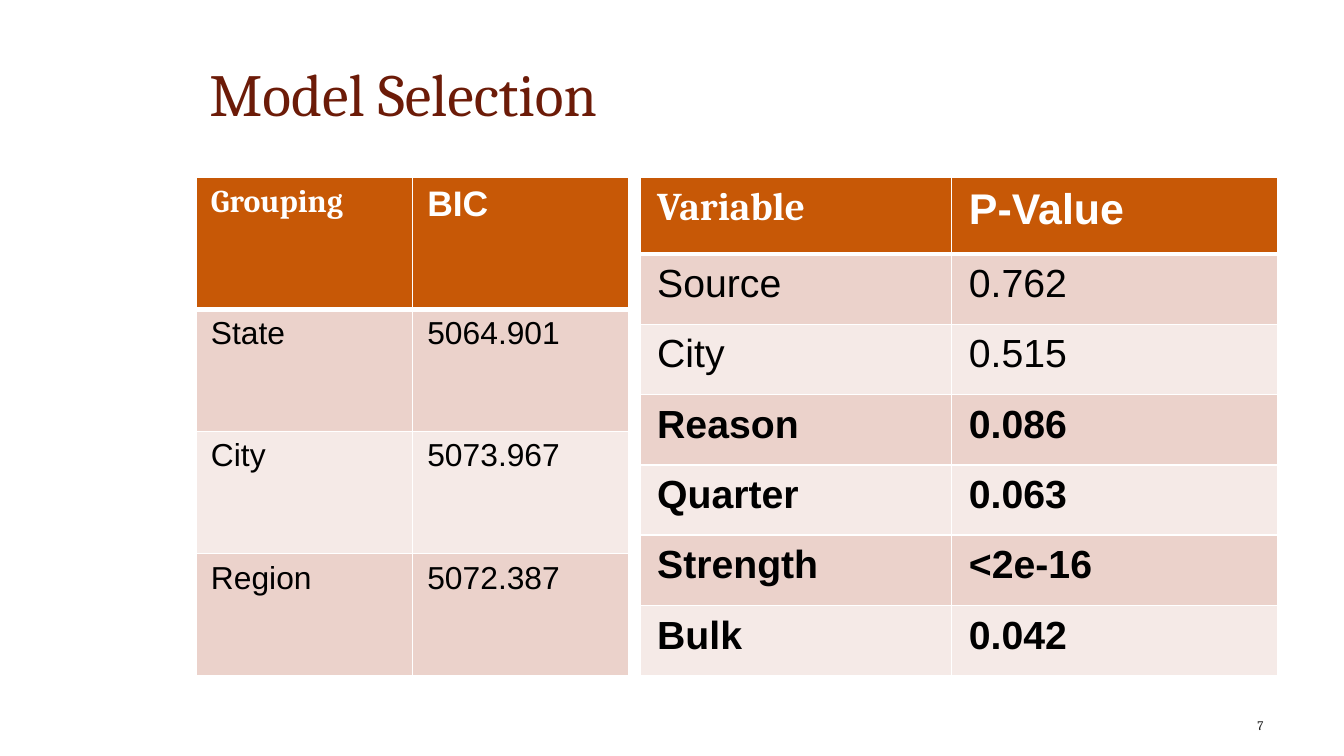
from lxml import etree
from pptx import Presentation, util as u
from pptx.dml.color import RGBColor
from pptx.enum import text
from pptx.oxml.ns import qn

WHITE = RGBColor(0xFF, 0xFF, 0xFF)
BLACK = RGBColor(0, 0, 0)
ORANGE = RGBColor(0xC7, 0x58, 0x06)
BANDS = [RGBColor(0xEB, 0xD2, 0xCB), RGBColor(0xF5, 0xEA, 0xE7)]
MAROON = RGBColor(0x6C, 0x1B, 0x08)
CHARCOAL = RGBColor(0x1C, 0x1C, 0x1C)
SERIF, SANS = "Cambria", "Arial"

SLIDE_WIDTH = u.Inches(10)
SLIDE_HEIGHT = SLIDE_WIDTH * 9 // 16

TITLE = "Model Selection"
PAGE_NUMBER = "7"
TABLE_TOP, TABLE_HEIGHT = 1.32, 3.71
TABLES = [
    {
        "left": 1.46, "columns": [1.61, 1.61], "header_height": 0.98,
        "margins": (0.11, 0.05), "body_size": 17, "header_sizes": [17, 19],
        "header": ["Grouping", "BIC"],
        "rows": [("State", "5064.901"), ("City", "5073.967"), ("Region", "5072.387")],
        "bold_labels": [],
    },
    {
        "left": 4.76, "columns": [2.32, 2.43], "header_height": 0.57,
        "margins": (0.13, 0.06), "body_size": 21, "header_sizes": [21, 23],
        "header": ["Variable", "P-Value"],
        "rows": [("Source", "0.762"), ("City", "0.515"), ("Reason", "0.086"),
                 ("Quarter", "0.063"), ("Strength", "<2e-16"), ("Bulk", "0.042")],
        "bold_labels": ["Reason", "Quarter", "Strength", "Bulk"],
    },
]


def add_run(paragraph, words, size, font, color, bold=False):
    run = paragraph.add_run()
    run.text = words
    run.font.size = u.Pt(size)
    run.font.name = font
    run.font.color.rgb = color
    run.font.bold = bold


def add_text(slide, box, words, size, color):
    shape = slide.shapes.add_textbox(*[u.Inches(length) for length in box])
    shape.text_frame.word_wrap = True
    paragraph = shape.text_frame.paragraphs[0]
    add_run(paragraph, words, size, SERIF, color)
    return shape.text_frame, paragraph


def set_borders(cell, widths):
    properties = cell._tc.get_or_add_tcPr()
    for side, width in widths.items():
        line = etree.SubElement(properties, qn(f"a:ln{side}"), w=str(u.Pt(width)))
        fill = etree.SubElement(line, qn("a:solidFill"))
        etree.SubElement(fill, qn("a:srgbClr"), val=str(WHITE))


def add_grid(slide, content):
    rows = [content["header"], *content["rows"]]
    columns = content["columns"]
    table = slide.shapes.add_table(
        len(rows), len(columns), u.Inches(content["left"]), u.Inches(TABLE_TOP),
        u.Inches(sum(columns)), u.Inches(TABLE_HEIGHT)).table
    for column, width in zip(table.columns, columns):
        column.width = u.Inches(width)
    body_height = (TABLE_HEIGHT - content["header_height"]) / len(content["rows"])
    horizontal, vertical = [u.Inches(margin) for margin in content["margins"]]
    for row_index, row in enumerate(rows):
        is_header = row_index == 0
        table.rows[row_index].height = u.Inches(
            content["header_height"] if is_header else body_height)
        for column_index, words in enumerate(row):
            cell = table.cell(row_index, column_index)
            cell.margin_left = cell.margin_right = horizontal
            cell.margin_top = cell.margin_bottom = vertical
            set_borders(cell, {"L": 1, "R": 1, "T": 3 if row_index == 1 else 1,
                               "B": 3 if is_header else 1})
            cell.fill.solid()
            cell.fill.fore_color.rgb = ORANGE if is_header else BANDS[(row_index - 1) % 2]
            paragraph = cell.text_frame.paragraphs[0]
            if is_header:
                add_run(paragraph, words, content["header_sizes"][column_index],
                        [SERIF, SANS][column_index], WHITE, True)
            else:
                add_run(paragraph, words, content["body_size"], SANS, BLACK,
                        row[0] in content["bold_labels"])


def main():
    presentation = Presentation()
    presentation.slide_width = SLIDE_WIDTH
    presentation.slide_height = SLIDE_HEIGHT
    slide = presentation.slides.add_slide(presentation.slide_layouts[6])

    for content in TABLES:
        add_grid(slide, content)

    frame, _ = add_text(slide, (1.46, 0.22, 8.03, 0.94), TITLE, 32, MAROON)
    frame.vertical_anchor = text.MSO_ANCHOR.MIDDLE

    _, paragraph = add_text(slide, (7.17, 5.3, 2.33, 0.22), PAGE_NUMBER, 7, CHARCOAL)
    paragraph.alignment = text.PP_ALIGN.RIGHT
    paragraph.line_spacing = 0.9
    paragraph.space_after = u.Pt(6)

    presentation.save("out.pptx")


if __name__ == "__main__":
    main()
